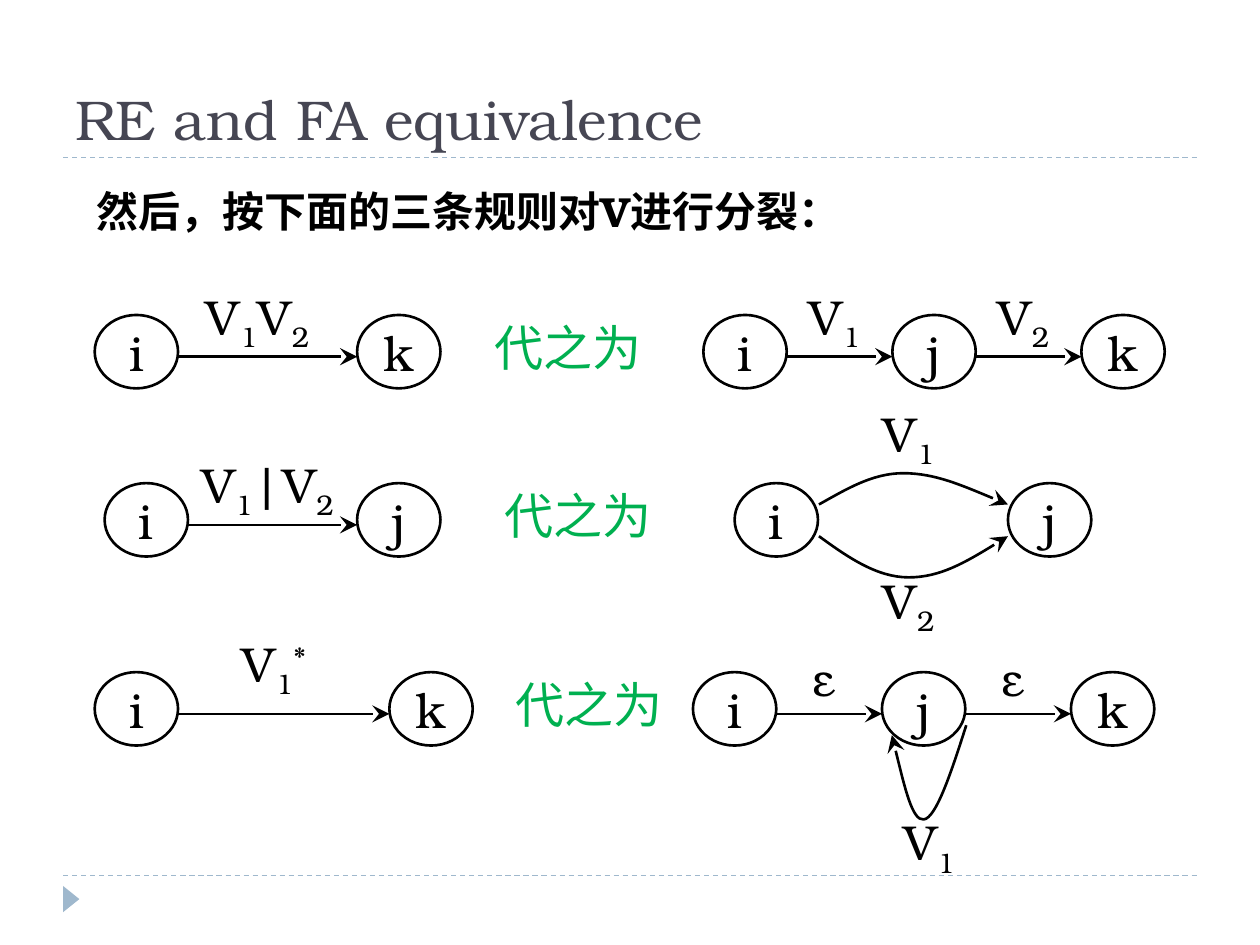
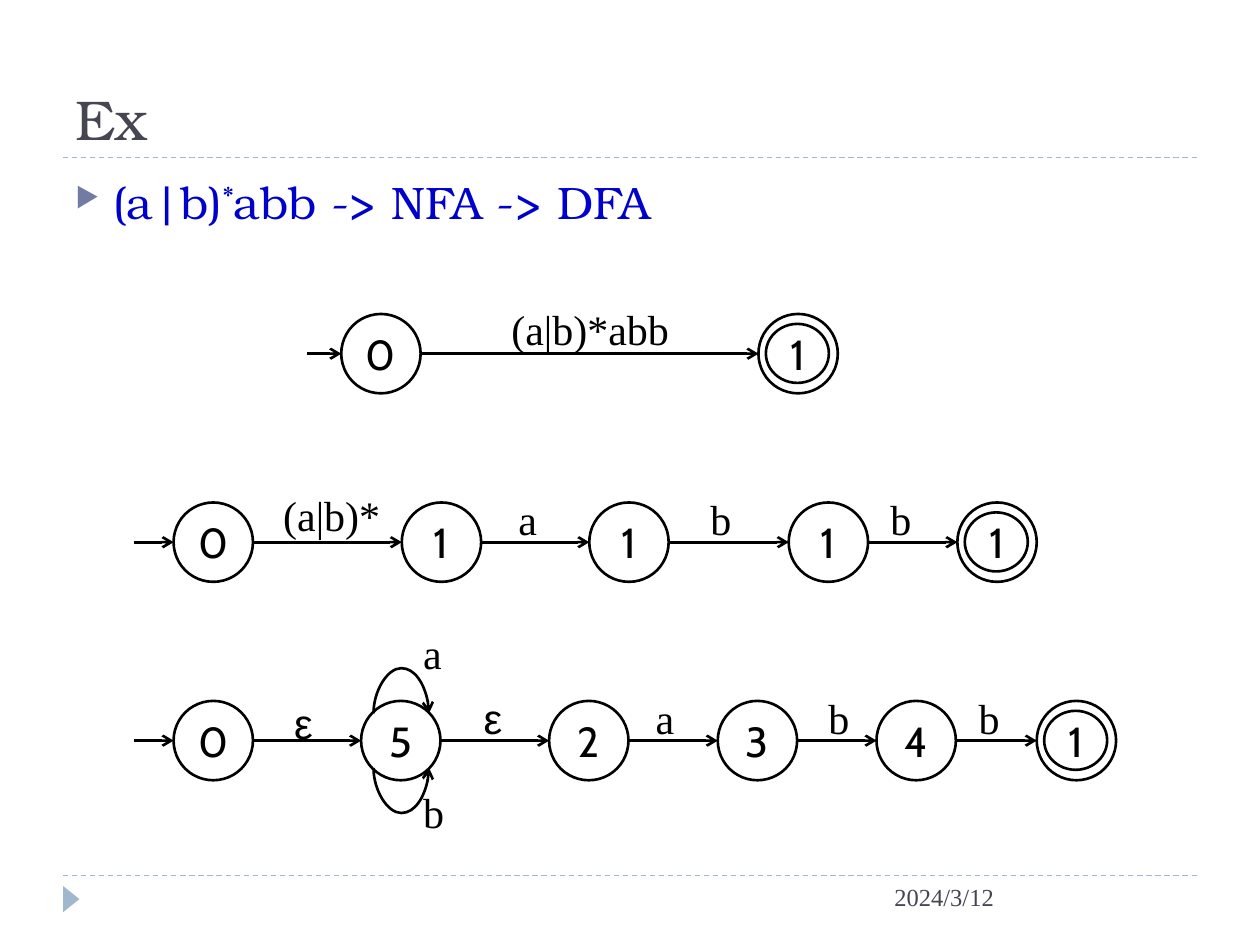
from itertools import pairwise

from lxml import etree
from pptx import Presentation
from pptx.dml.color import RGBColor
from pptx.enum.dml import MSO_LINE
from pptx.enum.shapes import MSO_CONNECTOR, MSO_SHAPE
from pptx.enum.text import MSO_ANCHOR, PP_ALIGN
from pptx.oxml.ns import qn
from pptx.util import Cm, Pt

BLACK = RGBColor(0x00, 0x00, 0x00)
GREEN = RGBColor(0x00, 0xB0, 0x50)
BLUE = RGBColor(0x00, 0x00, 0xCC)
SLATE = RGBColor(0x46, 0x46, 0x53)
RULE_BLUE = RGBColor(0x9F, 0xB8, 0xCD)
BULLET_COLOR = RGBColor(0x72, 0x7C, 0xA3)

SERIF = "TeX Gyre Bonum"
ROMAN = "Times New Roman"
STATE_FONT = "Cabin"

# Runs are (text, baseline shift in percent)
V1 = [("V", 0), ("1", -25)]
V2 = [("V", 0), ("2", -25)]

# Rule diagrams, in cm
OVAL_W, OVAL_H = 1.68, 1.48
ARROW_DROP = 0.84
LABEL_W = 3.2
# Automata, in cm
CIRCLE = 1.6
SYMBOL_H = 1.27
SYMBOL_WIDTHS = {"a": 0.9, "ε": 0.9, "b": 0.93, "(a|b)*": 2.46, "(a|b)*abb": 3.68}


# ---- Shared parts ----
def add_runs(paragraph, runs, size, font, color, bold=False):
    for text, shift in [(runs, 0)] if isinstance(runs, str) else runs:
        run = paragraph.add_run()
        run.text = text
        run.font.size = Pt(size)
        run.font.name = font
        run.font.bold = bold
        run.font.color.rgb = color
        if shift:
            run._r.get_or_add_rPr().set("baseline", str(shift * 1000))


def add_text(slide, box, runs, size, font=SERIF, color=BLACK, bold=False,
             anchor=MSO_ANCHOR.TOP, wrap=True):
    holder = slide.shapes.add_textbox(*map(Cm, box))
    frame = holder.text_frame
    frame.word_wrap = wrap
    frame.vertical_anchor = anchor
    add_runs(frame.paragraphs[0], runs, size, font, color, bold)
    return frame


def centre_text(frame):
    frame.margin_left = frame.margin_right = frame.margin_top = frame.margin_bottom = 0
    frame.word_wrap = False
    frame.vertical_anchor = MSO_ANCHOR.MIDDLE
    frame.paragraphs[0].alignment = PP_ALIGN.CENTER


def add_centred(slide, box, runs, color=BLACK):
    centre_text(add_text(slide, box, runs, 28, color=color))


def style_line(shape, head=None, head_size="med"):
    shape.line.color.rgb = BLACK
    shape.line.width = Pt(1.5)
    if head:
        etree.SubElement(shape.line._get_or_add_ln(), qn("a:tailEnd"),
                         type=head, w=head_size, len=head_size)


def add_straight(slide, start, end):
    line = slide.shapes.add_connector(MSO_CONNECTOR.STRAIGHT, *map(Cm, start + end))
    etree.SubElement(line._element.spPr, qn("a:effectLst"))
    return line


def add_arrow(slide, start, end, *head):
    style_line(add_straight(slide, start, end), *head)


def add_curve(slide, left, top, points, *head):
    """Arrow along cubic curves: a start, then three points for each curve."""
    start, *rest = [(Cm(left + x), Cm(top + y)) for x, y in points]
    builder = slide.shapes.build_freeform(*start)
    builder.add_line_segments(rest, close=False)
    arc = builder.convert_to_shape()
    arc.shadow.inherit = False
    arc.fill.background()
    style_line(arc, *head)
    outline = arc._element.xpath(".//a:path")[0]
    outline.set("fill", "none")
    steps = outline.findall(qn("a:lnTo"))
    for first in range(0, len(steps), 3):
        cubic = etree.SubElement(outline, qn("a:cubicBezTo"))
        for step in steps[first:first + 3]:
            cubic.append(step[0])
            outline.remove(step)


def add_oval(slide, box, name="", size=28, font=SERIF):
    oval = slide.shapes.add_shape(MSO_SHAPE.OVAL, *map(Cm, box))
    oval.shadow.inherit = False
    oval.fill.background()
    style_line(oval)
    if name:
        centre_text(oval.text_frame)
        add_runs(oval.text_frame.paragraphs[0], name, size, font, BLACK)


def start_slide(prs, title):
    slide = prs.slides.add_slide(prs.slide_layouts[6])
    # Dashed rules under the title and above the footer
    for y in (17.65, 3.18):
        rule = add_straight(slide, (1.27, y), (24.13, y))
        rule.line.color.rgb = RULE_BLUE
        rule.line.width = Pt(0.75)
        rule.line.dash_style = MSO_LINE.DASH
    # Footer marker
    marker = slide.shapes.add_shape(MSO_SHAPE.ISOSCELES_TRIANGLE,
                                    Cm(1.17), Cm(17.96), Cm(0.53), Cm(0.33))
    marker.rotation = 90
    marker.shadow.inherit = False
    marker.fill.solid()
    marker.fill.fore_color.rgb = RULE_BLUE
    marker.line.fill.background()
    add_text(slide, (1.27, 0.43, 22.86, 2.75), title, 32, color=SLATE,
             anchor=MSO_ANCHOR.BOTTOM)
    return slide


# ---- Splitting rules ----
def add_rule_state(slide, left, top, name):
    add_oval(slide, (left, top, OVAL_W, OVAL_H), name)


def add_rule_label(slide, centre, top, runs):
    add_centred(slide, (centre - LABEL_W / 2, top, LABEL_W, OVAL_H), runs)


def add_chain(slide, left, top, names, pitch, labels, nudge=0.1, lift=0.64):
    """Evenly spaced states joined by labelled arrows."""
    for i, name in enumerate(names):
        add_rule_state(slide, left + i * pitch, top, name)
    for i, label in enumerate(labels):
        start, end = left + i * pitch + OVAL_W, left + (i + 1) * pitch
        y = top + ARROW_DROP
        add_arrow(slide, (start, y), (end, y), "stealth", "lg")
        add_rule_label(slide, (start + end) / 2 - nudge, top - lift, label)


def add_branches(slide, left, top):
    """Two states joined by an upper and a lower arc."""
    add_rule_state(slide, left, top, "i")
    add_rule_state(slide, left + 5.51, top, "j")
    upper = [(1.7, 0.43), (2.24, 0.13), (2.77, -0.2), (3.4, -0.2),
             (4.04, -0.2), (4.78, 0.13), (5.51, 0.43)]
    lower = [(1.7, 1.07), (2.29, 1.5), (2.87, 1.9), (3.51, 1.9),
             (4.14, 1.9), (4.83, 1.5), (5.51, 1.07)]
    for arc, label, label_top in ((upper, V1, -1.68), (lower, V2, 1.7)):
        add_curve(slide, left, top, arc, "stealth", "lg")
        add_rule_label(slide, left + 3.51, top + label_top, label)


def add_bottom_loop(slide, left, top):
    """Labelled loop hanging below the state at left, top."""
    loop = [(1.7, 1.07), (1.4, 2.01), (1.09, 2.95), (0.84, 2.97),
            (0.61, 3), (0.41, 2.13), (0.2, 1.27)]
    add_curve(slide, left, top, loop, "stealth", "lg")
    add_rule_label(slide, left + 0.95, top + 2.75, V1)


def build_rules_slide(prs):
    slide = start_slide(prs, "RE and FA equivalence")
    add_text(slide, (1.7, 3.61, 22.66, 12.5), "然后，按下面的三条规则对V进行分裂：",
             24, bold=True)
    concat_top, union_top, closure_top = tops = 6.35, 9.74, 13.55
    for i, top in enumerate(tops):
        add_centred(slide, (9.7 + 0.21 * i, top - 0.2, 3.5, 1.7), "代之为", GREEN)
    # Concatenation
    add_chain(slide, 1.91, concat_top, "ik", 5.29, [V1 + V2], nudge=0.2)
    add_chain(slide, 14.18, concat_top, "ijk", 3.81, [V1, V2])
    # Union
    add_chain(slide, 2.11, union_top, "ij", 5.09, [V1 + [("|V", 0), ("2", -25)]])
    add_branches(slide, 14.81, union_top)
    # Closure
    add_chain(slide, 1.91, closure_top, "ik", 5.94, [V1 + [("*", 30)]],
              nudge=0.2, lift=0.84)
    add_chain(slide, 13.97, closure_top, "ijk", 3.81, ["ε", "ε"])
    add_bottom_loop(slide, 13.97 + 3.81, closure_top)


# ---- Automata ----
def add_symbol(slide, left, top, symbol):
    add_text(slide, (left, top, SYMBOL_WIDTHS[symbol], SYMBOL_H), symbol, 24,
             font="Arial" if symbol == "ε" else ROMAN, wrap=False)


def add_automaton(slide, left, top, states, symbols, entry=0.8):
    """States as (name, x) and symbols as (text, x, lift), relative to left, top."""
    y = top + CIRCLE / 2
    add_arrow(slide, (left - entry, y), (left, y), "arrow")
    for name, x in states:
        add_oval(slide, (left + x, top, CIRCLE, CIRCLE), name, 24, STATE_FONT)
    for (_, x), (_, next_x) in pairwise(states):
        add_arrow(slide, (left + x + CIRCLE, y), (left + next_x, y), "arrow")
    for symbol, x, lift in symbols:
        add_symbol(slide, left + x, top - lift, symbol)
    # Inner ring of the accepting state
    add_oval(slide, (left + states[-1][1] + 0.15, top + 0.2, 1.27, 1.19))


def add_self_loops(slide, left, top):
    """Loop a above and loop b below the state at left, top."""
    above = [(0.25, 0.25), (0.25, -0.2), (0.53, -0.66), (0.81, -0.66),
             (1.09, -0.66), (1.37, -0.2), (1.37, 0.25)]
    below = [(x, CIRCLE - y) for x, y in above]
    for loop, symbol, symbol_top in ((above, "a", -1.6), (below, "b", 1.6)):
        add_curve(slide, left, top, loop, "arrow")
        add_symbol(slide, left + 1, top + symbol_top, symbol)


def build_example_slide(prs):
    slide = start_slide(prs, "Ex")
    # Bulleted expression
    expression = add_text(slide, (1.27, 3.38, 22.86, 1.73),
                          [("(a|b)", 0), ("*", 30), ("abb -> NFA -> DFA", 0)],
                          26, color=BLUE).paragraphs[0]
    props = expression._p.get_or_add_pPr()
    props.set("marL", str(Cm(0.76)))
    props.set("indent", str(-Cm(0.76)))
    bullet_color = etree.SubElement(props, qn("a:buClr"))
    etree.SubElement(bullet_color, qn("a:srgbClr"), val=str(BULLET_COLOR))
    etree.SubElement(props, qn("a:buSzPct"), val="60000")
    etree.SubElement(props, qn("a:buChar"), char="▶")
    # Date
    add_text(slide, (17.78, 17.65, 6.35, 1.02), "2024/3/12", 14, ROMAN, SLATE)
    # From the expression to the NFA
    add_automaton(slide, 6.88, 6.33, [("0", 0), ("1", 8.41)],
                  [("(a|b)*abb", 3.18, 0.33)], entry=0.69)
    add_automaton(slide, 3.5, 10.13,
                  [("0", 0), ("1", 4.6), ("1", 8.38), ("1", 12.4), ("1", 15.8)],
                  [("(a|b)*", 1.96, 0.38), ("a", 6.7, 0.3), ("b", 10.57, 0.3),
                   ("b", 14.2, 0.3)])
    add_automaton(slide, 3.5, 14.13,
                  [("0", 0), ("5", 3.78), ("2", 7.57), ("3", 10.97), ("4", 14.17),
                   ("1", 17.4)],
                  [("ε", 2.18, 0.2), ("ε", 6, 0.3), ("a", 9.47, 0.3),
                   ("b", 12.95, 0.3), ("b", 15.98, 0.3)])
    add_self_loops(slide, 3.5 + 3.78, 14.13)


def main():
    prs = Presentation()
    prs.slide_width, prs.slide_height = Cm(25.4), Cm(19.05)
    build_rules_slide(prs)
    build_example_slide(prs)
    prs.save("out.pptx")


if __name__ == "__main__":
    main()
